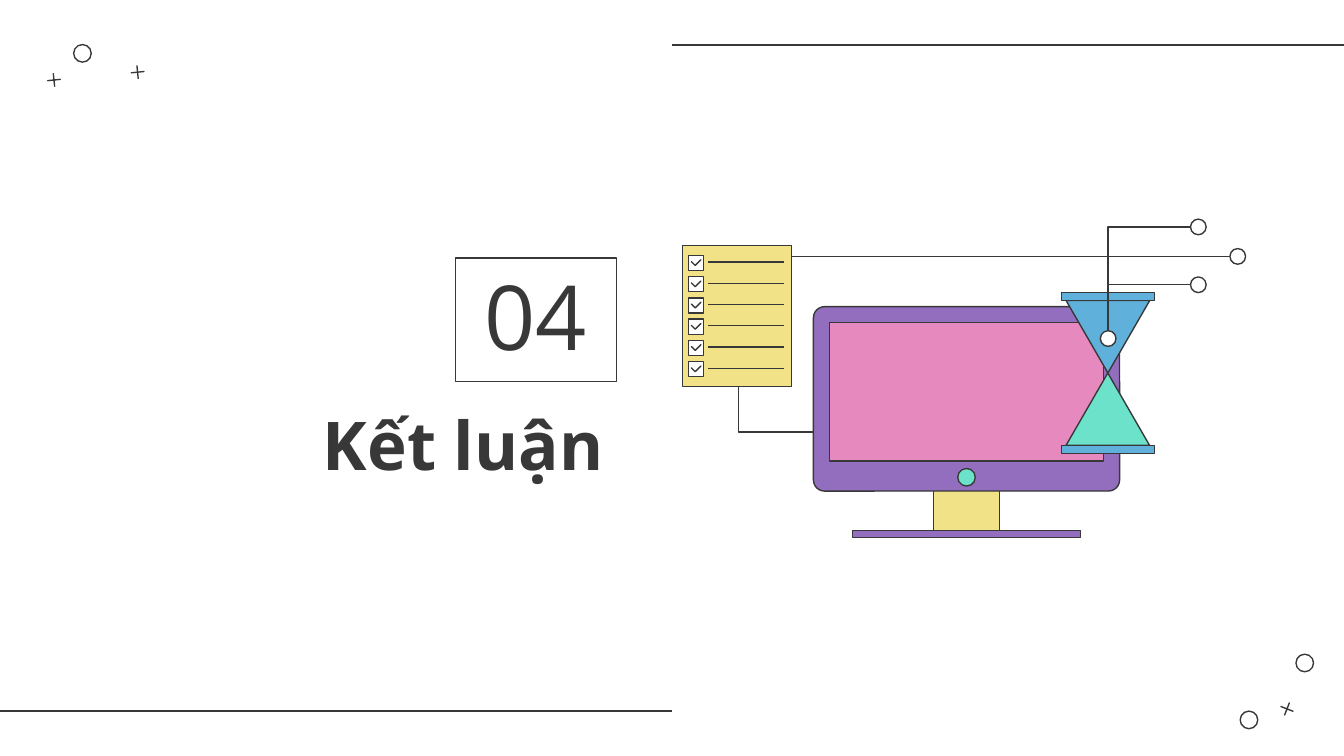
from lxml.etree import SubElement
from pptx import Presentation
from pptx.dml.color import RGBColor
from pptx.enum.shapes import MSO_CONNECTOR, MSO_SHAPE
from pptx.enum.text import MSO_ANCHOR, MSO_AUTO_SIZE, PP_ALIGN
from pptx.oxml.ns import qn
from pptx.util import Pt

INK, WHITE = "383838", "FFFFFF"
PURPLE, PINK, YELLOW = "946EBE", "E589BF", "F1E287"
BLUE, MINT = "5FB0DA", "6CE2CB"
WEIGHT = 0.75


def paint(target, color):
    """Give a fill or line a solid colour, or none."""
    if color is None:
        target.background()
    else:
        target.solid()
        target.fore_color.rgb = RGBColor.from_string(color)


def style(shape, fill):
    """Set the fill and the common outline."""
    shape.shadow.inherit = False
    paint(shape.fill, fill)
    paint(shape.line.fill, INK)
    shape.line.width = Pt(WEIGHT)


def draw(slide, kind, box, fill=None, turn=0, adjust=()):
    """Add one outlined preset shape."""
    shape = slide.shapes.add_shape(kind, *map(Pt, box))
    for i, value in enumerate(adjust):
        shape.adjustments[i] = value
    shape.rotation = turn
    style(shape, fill)
    return shape


def dot(slide, x, y, size, fill=None):
    """Add a circle around a centre."""
    draw(slide, MSO_SHAPE.OVAL, (x - size / 2, y - size / 2, size, size), fill)


def rule(slide, x1, y1, x2, y2):
    """Add a straight line."""
    line = slide.shapes.add_connector(
        MSO_CONNECTOR.STRAIGHT, *map(Pt, (x1, y1, x2, y2)))
    paint(line.line.fill, INK)
    line.line.width = Pt(WEIGHT)
    SubElement(line.element.spPr, qn("a:effectLst"))


def bend(slide, *points):
    """Add an open line through the points."""
    start, *rest = [(Pt(x), Pt(y)) for x, y in points]
    form = slide.shapes.build_freeform(*start)
    form.add_line_segments(rest, close=False)
    style(form.convert_to_shape(), None)


def write(shape, text, align, size, bold):
    """Put one styled line of text in a shape."""
    frame = shape.text_frame
    frame.text = text
    look = {"word_wrap": True, "auto_size": MSO_AUTO_SIZE.NONE,
            "vertical_anchor": MSO_ANCHOR.BOTTOM}
    look.update({f"margin_{side}": Pt(7.2)
                 for side in ("left", "right", "top", "bottom")})
    for key, value in look.items():
        setattr(frame, key, value)
    part = frame.paragraphs[0]
    part.alignment = align
    font = part.runs[0].font
    for key, value in {"name": "Open Sans", "size": Pt(size),
                       "bold": bold}.items():
        setattr(font, key, value)
    paint(font.fill, INK)


def heading(slide, x, y, w):
    """Place the section number above the title."""
    title = slide.shapes.title
    spot = {"left": x, "top": y + 66.3, "width": w, "height": 62}
    for key, value in spot.items():
        setattr(title, key, Pt(value))
    write(title, "Kết luận", PP_ALIGN.RIGHT, 36, True)
    number = draw(slide, MSO_SHAPE.RECTANGLE, (x + w - 86.4, y, 86.4, 66.3))
    write(number, "04", PP_ALIGN.CENTER, 48, False)


def corner(slide, x, y, turn, rings, pluses):
    """Scatter rings and plus signs in a corner."""
    for dx, dy in rings:
        dot(slide, x + dx, y + dy, 9.4)
    for dx, dy in pluses:
        draw(slide, MSO_SHAPE.MATH_PLUS,
             (x + dx - 4.7, y + dy - 4.7, 9.4, 9.4), None, turn, [0])


def screen(slide, x, y, w, h):
    """Draw the monitor with its stand."""
    mid = x + w / 2
    box = MSO_SHAPE.RECTANGLE
    draw(slide, box, (mid - 17.6, y + h - 6, 35.2, 27), YELLOW)
    draw(slide, box, (mid - 61, y + h + 21, 122, 4), PURPLE)
    draw(slide, MSO_SHAPE.ROUNDED_RECTANGLE, (x, y, w, h), PURPLE, 0, [0.06])
    draw(slide, box, (x + 8.5, y + 8.6, w - 17, 74.2), PINK)
    dot(slide, mid, y + 91.4, 9.4, MINT)


def timer(slide, x, y, w, h):
    """Draw the hourglass."""
    bar, half = 4.4, h / 2 - 4.4
    cone = MSO_SHAPE.ISOSCELES_TRIANGLE
    draw(slide, cone, (x + 2.5, y + h / 2, w - 5, half), MINT)
    draw(slide, cone, (x + 2.5, y + bar, w - 5, half), BLUE, 180)
    for top in (y, y + h - bar):
        draw(slide, MSO_SHAPE.RECTANGLE, (x, top, w, bar), BLUE)


def wires(slide, x, y, trunk):
    """Draw the branching wires and their end rings."""
    bend(slide, (x, y), (trunk, y), (trunk, y + 46.7))
    for dy in (-15.8, 15.2):
        bend(slide, (trunk, y), (trunk, y + dy), (trunk + 44.2, y + dy))
    rule(slide, trunk, y, trunk + 65.3, y)
    for dx, dy in ((48.4, -15.8), (69.5, 0), (48.4, 15.2), (0.1, 44)):
        dot(slide, trunk + dx, y + dy, 8.4, WHITE)


def list_card(slide, x, y, w, h, rows=6):
    """Draw the checklist."""
    box = MSO_SHAPE.RECTANGLE
    draw(slide, box, (x, y, w, h), YELLOW)
    for i in range(rows):
        top = y + 5.2 + i * 11.38
        draw(slide, box, (x + 3.2, top, 8.2, 8.2), WHITE)
        draw(slide, MSO_SHAPE.HALF_FRAME, (x + 5.9, top + 0.7, 2.9, 4.3),
             None, 225, [0, 0])
        rule(slide, x + 13.9, top + 3.6, x + w - 3.7, top + 3.6)


def build():
    """Build and save the deck."""
    deck = Presentation()
    deck.slide_width, deck.slide_height = Pt(720), Pt(405)
    slide = deck.slides.add_slide(deck.slide_layouts[5])
    rule(slide, 720, 24.2, 360, 24.2)
    rule(slide, 360, 381, 0, 381)
    corner(slide, 24, 24, 84.5, [(20.2, 4.6)], [(4.9, 18.9), (49.7, 14.7)])
    corner(slide, 664, 350, 291.4, [(5.1, 35.7), (35, 5.2)], [(25.5, 29.8)])
    heading(slide, 32.4, 138.2, 298)
    bend(slide, (395.6, 199), (395.6, 231.5), (505.4, 231.5))
    screen(slide, 435.8, 164.3, 164, 98.8)
    timer(slide, 568.6, 156.6, 49.8, 86.4)
    wires(slide, 399.6, 137.4, 593.6)
    list_card(slide, 365.6, 131.6, 58.3, 75.5)
    deck.save("out.pptx")


build()
